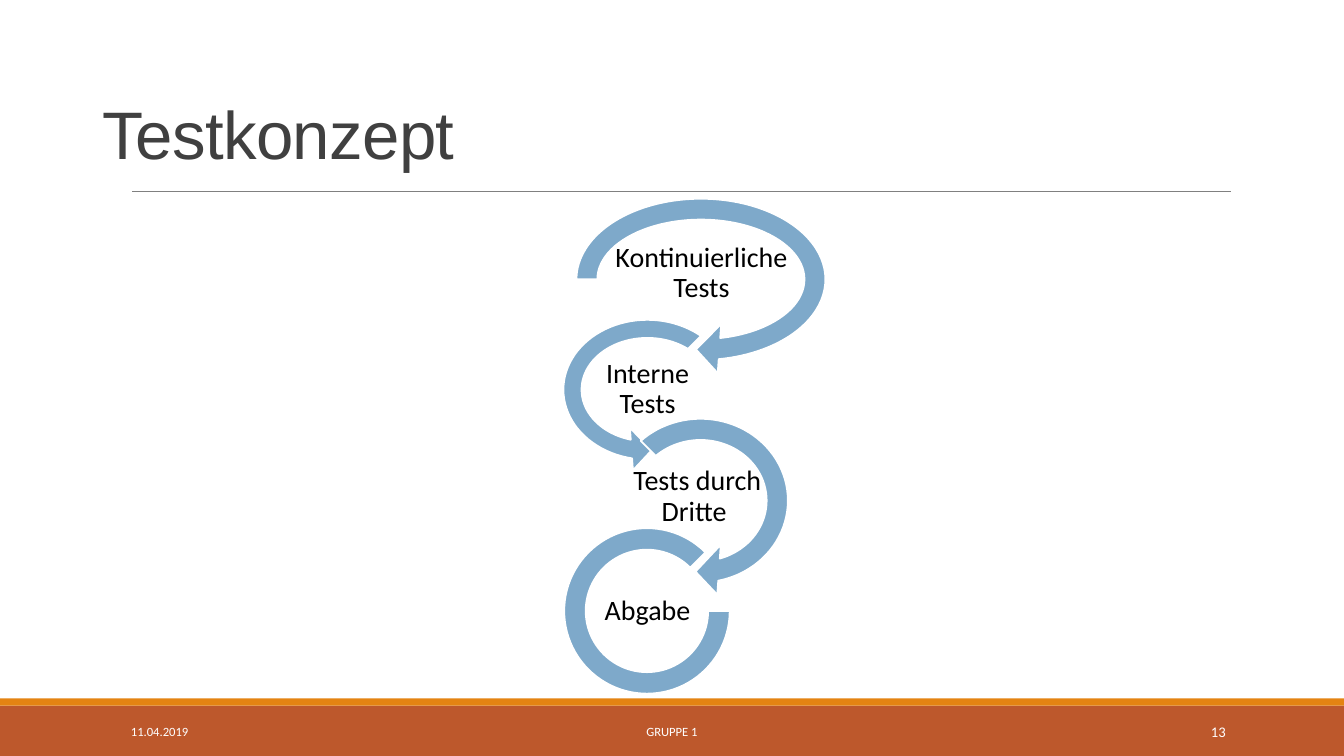
from lxml.etree import SubElement
from pptx import Presentation
from pptx.dml.color import RGBColor
from pptx.enum.shapes import MSO_CONNECTOR, MSO_SHAPE
from pptx.enum.text import MSO_ANCHOR, PP_ALIGN
from pptx.oxml.ns import qn
from pptx.util import Cm, Pt


def color(code):
    return RGBColor.from_string(code)


def assign(target, values):
    for name, value in values.items():
        setattr(target, name, value)


class Deck:
    font = "Calibri"
    arc_fill = "7EA9CA"
    white = "FFFFFF"

    def __init__(self, width, height):
        self.prs = Presentation()
        assign(self.prs, {"slide_width": Cm(width), "slide_height": Cm(height)})
        self.slide = self.prs.slides.add_slide(self.prs.slide_layouts[5])

    def letter(self, shape, text, size, tint, align, anchor=MSO_ANCHOR.MIDDLE,
               spacing=1.0, font=None, **insets):
        """Put styled text into a shape and return its paragraph."""
        frame = shape.text_frame
        frame.text = text
        assign(frame, {"word_wrap": True, "vertical_anchor": anchor, **insets})
        par = frame.paragraphs[0]
        assign(par, {"alignment": align, "line_spacing": spacing})
        for run in par.runs:
            assign(run.font, {"size": Pt(size), "name": font or self.font})
            run.font.color.rgb = color(tint)
        return par

    def title(self, text, box):
        shape = self.slide.shapes.title
        assign(shape, dict(zip(("left", "top", "width", "height"), map(Cm, box))))
        par = self.letter(shape, text, 48, "404040", PP_ALIGN.LEFT,
                          MSO_ANCHOR.BOTTOM, 0.85, "Arial")
        par.runs[0].font._element.set("spc", "-50")

    def label(self, text, box, size, tint, align, **style):
        shape = self.slide.shapes.add_textbox(*map(Cm, box))
        self.letter(shape, text, size, tint, align, **style)

    def shape(self, kind, box, fill, adjust=(), edge=None):
        shape = self.slide.shapes.add_shape(kind, *map(Cm, box))
        shape.shadow.inherit = False
        shape.fill.solid()
        shape.fill.fore_color.rgb = color(fill)
        for place, value in enumerate(adjust):
            shape.adjustments[place] = value
        if edge:
            shape.line.color.rgb = color(edge)
            shape.line.width = Pt(1.25)
        else:
            shape.line.fill.background()

    def rule(self, left, right, top):
        line = self.slide.shapes.add_connector(
            MSO_CONNECTOR.STRAIGHT, Cm(left), Cm(top), Cm(right), Cm(top))
        line.line.color.rgb = color("808080")
        line.line.width = Pt(0.5)
        SubElement(line._element.spPr, qn("a:effectLst"))

    def step(self, text, text_box, kind, arc_box, adjust):
        """Draw one loop of the chain with its caption inside."""
        self.shape(kind, arc_box, self.arc_fill, adjust, self.white)
        insets = {f"margin_{side}": Cm(0.03)
                  for side in ("left", "top", "right", "bottom")}
        self.label(text, text_box, 20, "000000", PP_ALIGN.CENTER,
                   spacing=0.9, **insets)


def main():
    deck = Deck(33.87, 19.05)
    deck.shape(MSO_SHAPE.RECTANGLE, (0, 17.78, 33.87, 1.27), "BD582C")
    deck.shape(MSO_SHAPE.RECTANGLE, (0, 17.6, 33.87, 0.18), "E48312")
    deck.rule(3.33, 31.01, 4.83)
    deck.title("Testkonzept", (2.34, 0.81, 29.21, 3.68))

    footer = [
        ("11.04.2019", 3.05, 6.86, 9, PP_ALIGN.LEFT),
        ("GRUPPE 1", 10.24, 13.39, 9, PP_ALIGN.CENTER),
        ("13", 27.51, 3.63, 10.5, PP_ALIGN.RIGHT),
    ]
    for text, left, width, size, align in footer:
        deck.label(text, (left, 17.93, width, 1.02), size, deck.white, align)

    steps = [
        ("Kontinuierliche\vTests", (15.42, 5.87, 4.52, 2.06),
         MSO_SHAPE.CIRCULAR_ARROW, (14.17, 4.65, 6.99, 4.78),
         (0.11, 11.42, 45, 108, 0.13)),
        ("Interne\vTests", (14.96, 9.14, 2.72, 1.35),
         MSO_SHAPE.LEFT_CIRCULAR_ARROW, (13.89, 7.75, 4.85, 4.14),
         (0.11, 11.42, 63, 189, 0.13)),
        ("Tests durch\vDritte ", (15.85, 11.61, 3.45, 1.83),
         MSO_SHAPE.CIRCULAR_ARROW, (15.09, 10.19, 5.13, 4.85),
         (0.11, 11.42, 45, 135, 0.13)),
        ("Abgabe", (14.96, 14.73, 2.72, 1.35),
         MSO_SHAPE.BLOCK_ARC, (14.22, 13.31, 4.17, 4.17),
         (0, 189, 0.13)),
    ]
    for step in steps:
        deck.step(*step)
    deck.prs.save("out.pptx")


if __name__ == "__main__":
    main()
